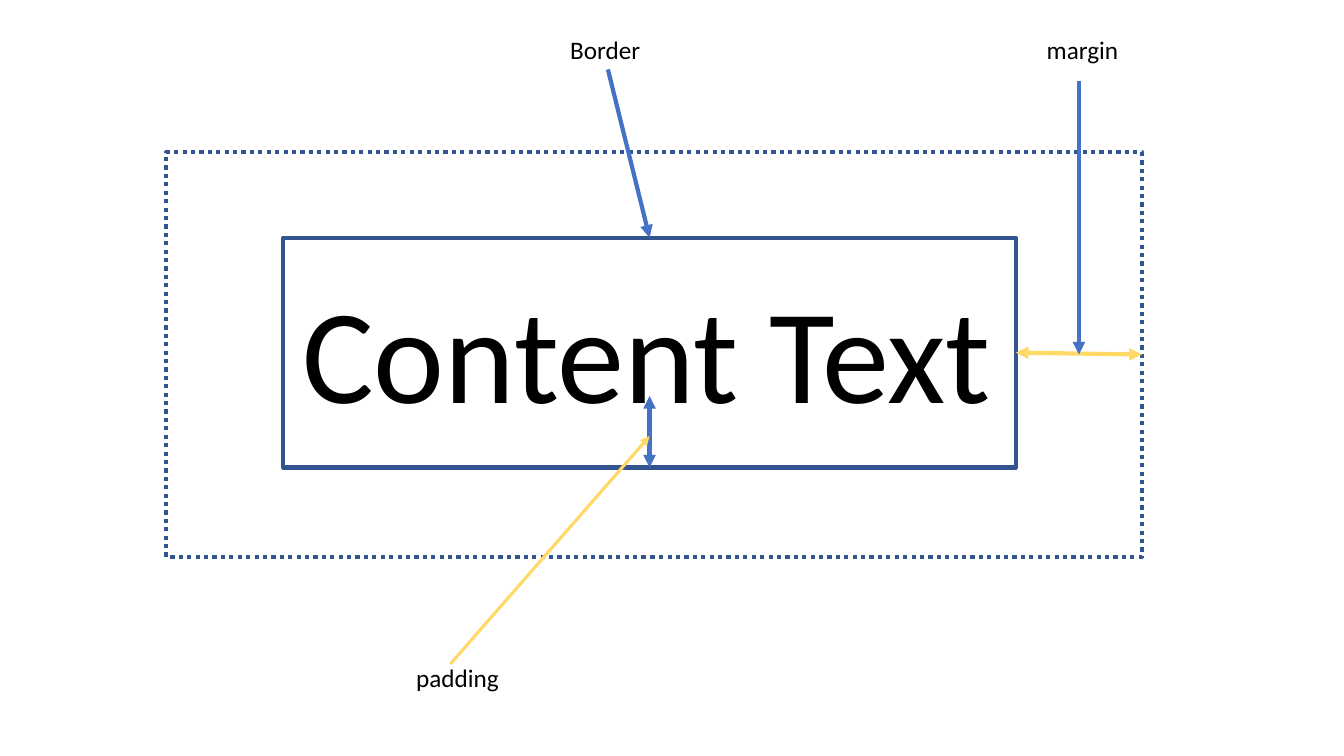
from dataclasses import dataclass

from lxml.etree import SubElement
from pptx import Presentation
from pptx.dml.color import RGBColor
from pptx.enum.dml import MSO_LINE
from pptx.enum.shapes import MSO_CONNECTOR, MSO_SHAPE
from pptx.enum.text import MSO_AUTO_SIZE
from pptx.oxml.ns import qn
from pptx.util import Cm, Pt

NAVY = RGBColor(0x32, 0x54, 0x91)
BLUE = RGBColor(0x44, 0x72, 0xC4)
YELLOW = RGBColor(0xFF, 0xD9, 0x66)
BLACK = RGBColor(0, 0, 0)


@dataclass
class Box:
    left: float
    top: float
    width: float
    height: float

    @property
    def right(self):
        return self.left + self.width

    @property
    def bottom(self):
        return self.top + self.height

    @property
    def center(self):
        return self.left + self.width / 2

    @property
    def middle(self):
        return self.top + self.height / 2

    def lengths(self):
        return Cm(self.left), Cm(self.top), Cm(self.width), Cm(self.height)


def add_outline(slide, box, dash=None):
    outline = slide.shapes.add_shape(MSO_SHAPE.RECTANGLE, *box.lengths())
    outline.shadow.inherit = False
    outline.fill.background()
    outline.line.color.rgb = NAVY
    outline.line.width = Pt(3)
    if dash:
        outline.line.dash_style = dash


def add_label(slide, box, words, size=18):
    label = slide.shapes.add_textbox(*box.lengths())
    frame = label.text_frame
    frame.word_wrap = True
    frame.auto_size = MSO_AUTO_SIZE.SHAPE_TO_FIT_TEXT
    frame.margin_right = 0
    frame.text = words
    font = frame.paragraphs[0].font
    font.name = "Calibri"
    font.size = Pt(size)
    font.color.rgb = BLACK


def add_arrow(slide, start, end, color, width=3, both_ends=False):
    arrow = slide.shapes.add_connector(
        MSO_CONNECTOR.STRAIGHT, *(Cm(length) for length in start + end)
    )
    arrow.line.color.rgb = color
    arrow.line.width = Pt(width)
    stroke = arrow.line._get_or_add_ln()
    for tip in ("a:headEnd", "a:tailEnd") if both_ends else ("a:tailEnd",):
        SubElement(stroke, qn(tip), type="triangle")
    SubElement(arrow._element.spPr, qn("a:effectLst"))


def draw_content(slide, border):
    add_outline(slide, border)
    text = Box(border.left + 0.23, border.top + 0.66, border.width - 0.51, 4.37)
    add_label(slide, text, "Content Text", 96)


def draw_border_note(slide, border):
    add_label(slide, Box(border.center - 2.25, border.top - 5.26, 4.17, 1.02), "Border")
    add_arrow(slide, (border.center - 1.05, border.top - 4.24), (border.center, border.top), BLUE)


def draw_padding_note(slide, border):
    x = border.center
    add_arrow(slide, (x, border.bottom), (x, border.bottom - 1.8), BLUE, both_ends=True)
    add_arrow(slide, (x - 5.02, border.bottom + 4.95), (x, border.bottom - 0.79), YELLOW, 2.25)
    add_label(slide, Box(x - 6.13, border.bottom + 4.78, 5.97, 1.02), "padding")


def draw_margin_note(slide, margin, border):
    x = (border.right + margin.right) / 2
    add_arrow(slide, (border.right, border.middle), (margin.right, margin.middle), YELLOW, both_ends=True)
    add_arrow(slide, (x, margin.top - 1.8), (x, margin.middle), BLUE)
    add_label(slide, Box(x - 1.06, margin.top - 3.1, 3.99, 1.02), "margin")


def draw_box_model(slide, margin):
    border = Box(margin.left + 2.95, margin.top + 2.15, 18.46, 5.79)
    add_outline(slide, margin, MSO_LINE.ROUND_DOT)
    draw_content(slide, border)
    draw_border_note(slide, border)
    draw_padding_note(slide, border)
    draw_margin_note(slide, margin, border)


def main():
    deck = Presentation()
    deck.slide_width = Cm(33.87)
    deck.slide_height = Cm(19.05)
    slide = deck.slides.add_slide(deck.slide_layouts[6])
    draw_box_model(slide, Box(4.19, 3.84, 24.59, 10.19))
    deck.save("out.pptx")


if __name__ == "__main__":
    main()
